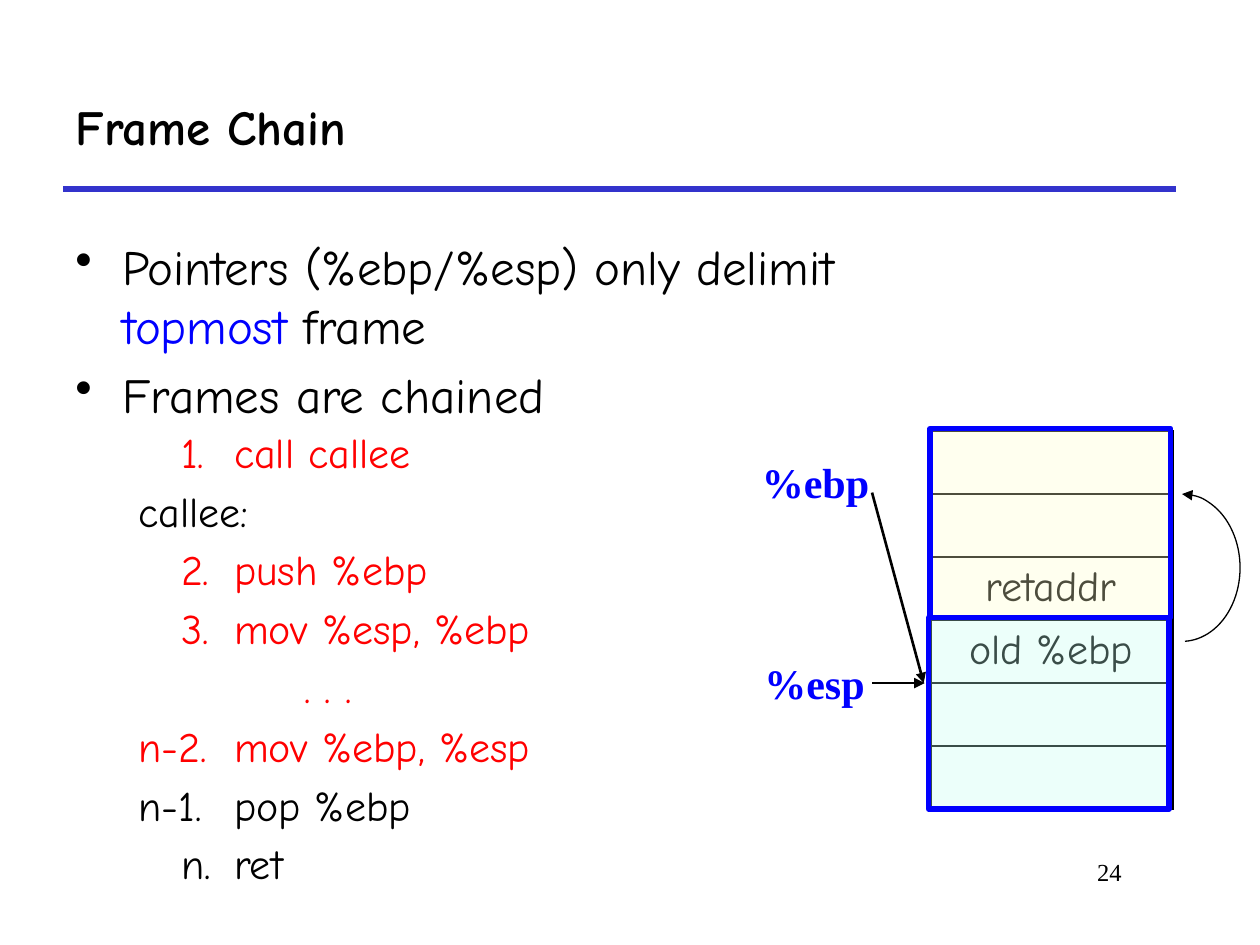
from pptx import Presentation, util as u
from pptx.dml import color
from pptx.enum import shapes, text
from pptx.oxml import parse_xml, ns

Cm, Pt = u.Cm, u.Pt
rgb = color.RGBColor.from_string
THEME = {
    "sans": "Comic Neue", "serif": "Times New Roman",
    "black": "000000", "white": "FFFFFF", "blue": "0000FF", "red": "FF0000",
    "rule": "3333CC", "callee": "C2FFF0", "caller": "FFFFCC",
    "head": 28, "code": 24, "number": 14,
}
NS = ns.nsdecls("a")


def add_run(p, words, size, col="black", font="sans", bold=False):
    r = p.add_run()
    r.text = words
    f = r.font
    f.size, f.name, f.bold = Pt(size), THEME[font], bold
    f.color.rgb = rgb(THEME[col])


def add_line(x1, y1, x2, y2, col, width, arrow=False):
    s = sl.shapes.add_connector(shapes.MSO_CONNECTOR.STRAIGHT, Cm(x1), Cm(y1), Cm(x2), Cm(y2))
    s.line.color.rgb, s.line.width = rgb(THEME[col]), Pt(width)
    if arrow:
        s.line._get_or_add_ln().append(parse_xml(f'<a:tailEnd {NS} type="triangle"/>'))
    s._element.spPr.append(parse_xml(f"<a:effectLst {NS}/>"))


prs = Presentation()
prs.slide_width, prs.slide_height = Cm(25.4), Cm(19.05)
sl = prs.slides.add_slide(prs.slide_layouts[5])

# Title and rule
s = sl.shapes.title
s.left, s.top, s.width, s.height = Cm(1.27), Cm(1.27), Cm(22.43), Cm(2.54)
s.text_frame.vertical_anchor = text.MSO_ANCHOR.MIDDLE
p = s.text_frame.paragraphs[0]
p.alignment = text.PP_ALIGN.LEFT
add_run(p, "Frame Chain", THEME["head"], bold=True)
add_line(1.27, 3.81, 23.7, 3.81, "rule", 3)

# Stack table
stack = ["", "", "retaddr", "old %ebp", "", ""]
tb = sl.shapes.add_table(len(stack), 1, Cm(18.75), Cm(8.69), Cm(4.88), Cm(7.62)).table
tb.first_row = tb.horz_banding = False
for i, label in enumerate(stack):
    tb.rows[i].height = Cm(1.27)
    c = tb.cell(i, 0)
    if label:
        p = c.text_frame.paragraphs[0]
        p.alignment = text.PP_ALIGN.CENTER
        add_run(p, label, THEME["code"])
    pr = c._tc.get_or_add_tcPr()
    for side, width in (("L", 2.25), ("R", 2.25), ("T", 1), ("B", 1)):
        pr.append(parse_xml(
            f'<a:ln{side} {NS} w="{Pt(width)}"><a:solidFill><a:srgbClr val="{THEME["black"]}"/>'
            f"</a:solidFill></a:ln{side}>"))
    c.fill.solid()
    c.fill.fore_color.rgb = rgb(THEME["white"])

# Translucent frames over the stack
for col, x, y, h in (("callee", 18.72, 12.45, 3.86), ("caller", 18.75, 8.64, 3.81)):
    s = sl.shapes.add_shape(shapes.MSO_SHAPE.RECTANGLE, Cm(x), Cm(y), Cm(4.85), Cm(h))
    s.shadow.inherit = False
    s.fill.solid()
    s.fill.fore_color.rgb = rgb(THEME[col])
    clr = s._element.spPr.find(ns.qn("a:solidFill"))[0]
    clr.append(parse_xml(f'<a:alpha {NS} val="30000"/>'))
    s.line.color.rgb, s.line.width = rgb(THEME["blue"]), Pt(3)

# Bullets
tf = sl.shapes.add_textbox(Cm(1.27), Cm(4.65), Cm(16.84), Cm(4.24)).text_frame
tf.word_wrap = True
bullets = [
    [("Pointers (%ebp/%esp) only delimit ", "black"), ("topmost ", "blue"), ("frame", "black")],
    [("Frames are chained", "black")],
]
for i, runs in enumerate(bullets):
    p = tf.add_paragraph() if i else tf.paragraphs[0]
    pr = p._p.get_or_add_pPr()
    pr.set("marL", str(Cm(0.95)))
    pr.set("indent", str(-Cm(0.95)))
    pr.append(parse_xml(f'<a:buChar {NS} char="•"/>'))
    p.space_before = Pt(5.6 * i)
    for words, col in runs:
        add_run(p, words, THEME["head"], col)

# Numbered code steps: words, colour, first-line start, hanging margin
tf = sl.shapes.add_textbox(Cm(1.27), Cm(8.47), Cm(12.7), Cm(9.91)).text_frame
tf.word_wrap = True
OUT, IN, DOTS, HANG = 1.27, 2.13, 4.62, 3.2
steps = [
    ("1.\tcall callee", "red", IN, HANG),
    ("callee:", "black", OUT, OUT),
    ("2.\tpush %ebp", "red", IN, HANG),
    ("3.\tmov %esp, %ebp", "red", IN, HANG),
    (". . .", "red", DOTS, DOTS),
    ("n-2.\tmov %ebp, %esp", "red", OUT, HANG),
    ("n-1.\tpop %ebp", "black", OUT, HANG),
    ("n.\tret", "black", IN, HANG),
]
for i, (words, col, start, margin) in enumerate(steps):
    p = tf.add_paragraph() if i else tf.paragraphs[0]
    pr = p._p.get_or_add_pPr()
    pr.set("marL", str(Cm(margin)))
    pr.set("indent", str(Cm(start) - Cm(margin)))
    p.space_before = Pt(4.8 if i else 0)
    add_run(p, words, THEME["code"], col)

# Register labels and pointers
for label, x, y, w in (("%ebp", 15.11, 9.07, 2.69), ("%esp", 15.16, 13.13, 2.57)):
    tf = sl.shapes.add_textbox(Cm(x), Cm(y), Cm(w), Cm(1.3)).text_frame
    tf.word_wrap = False
    tf.auto_size = text.MSO_AUTO_SIZE.SHAPE_TO_FIT_TEXT
    add_run(tf.paragraphs[0], label, THEME["code"], "blue", "serif", True)
add_line(17.58, 9.93, 18.62, 13.77, "black", 1.5, arrow=True)
add_line(17.58, 13.77, 18.64, 13.77, "black", 1.5, arrow=True)

# Link from the saved %ebp to the previous frame
s = sl.shapes.add_shape(shapes.MSO_SHAPE.ARC, Cm(22.66), Cm(9.96), Cm(2.34), Cm(2.97))
s.adjustments[0], s.adjustments[1] = 162, 52.61
s.shadow.inherit = False
s.fill.background()
s.line.color.rgb, s.line.width = rgb(THEME["black"]), Pt(0.75)
s.line._get_or_add_ln().append(parse_xml(f'<a:headEnd {NS} type="triangle"/>'))

# Slide number
tf = sl.shapes.add_textbox(Cm(19.25), Cm(17.15), Cm(3.61), Cm(1.27)).text_frame
tf.word_wrap = True
p = tf.paragraphs[0]
p.alignment = text.PP_ALIGN.RIGHT
add_run(p, "24", THEME["number"], font="serif")

prs.save("out.pptx")
